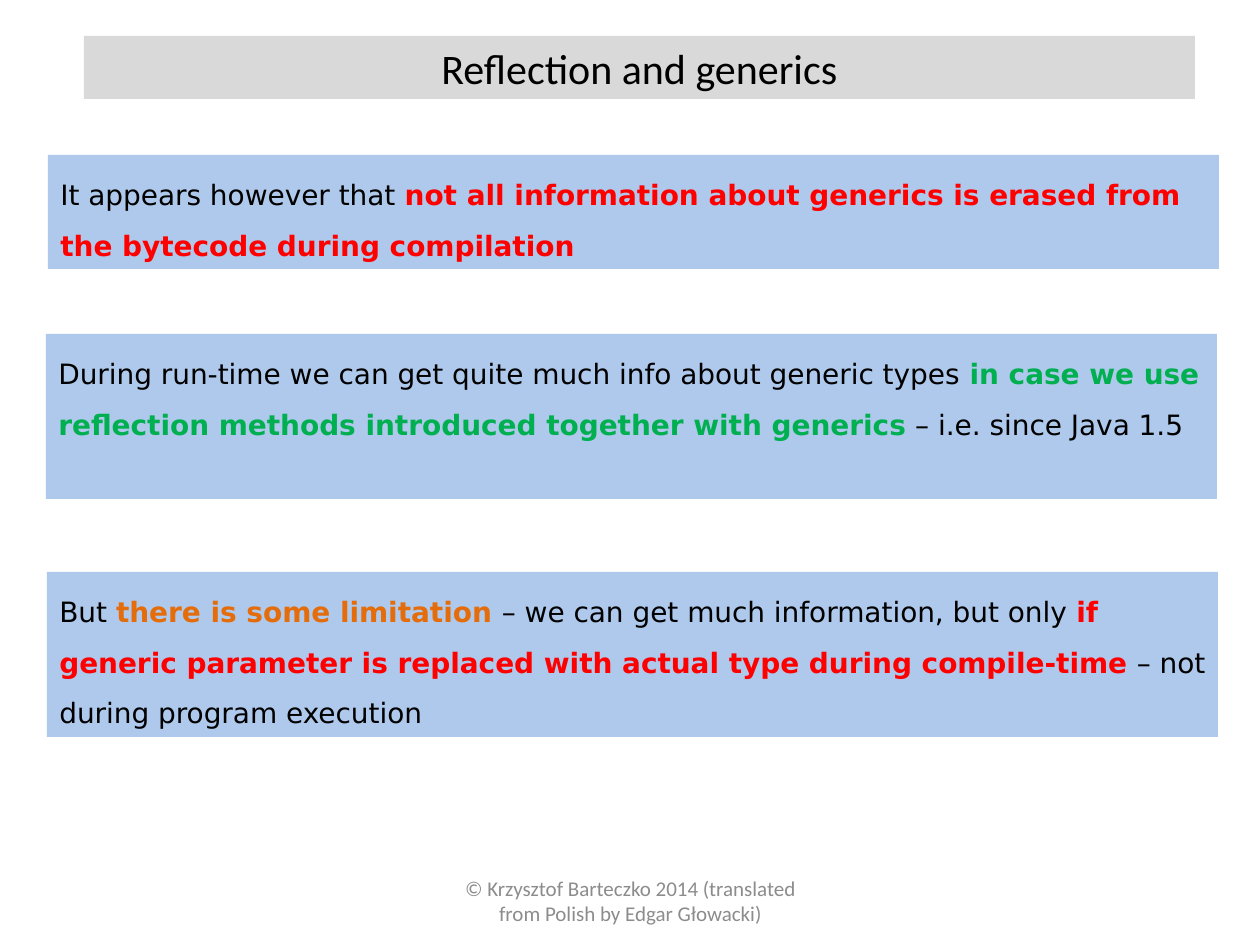
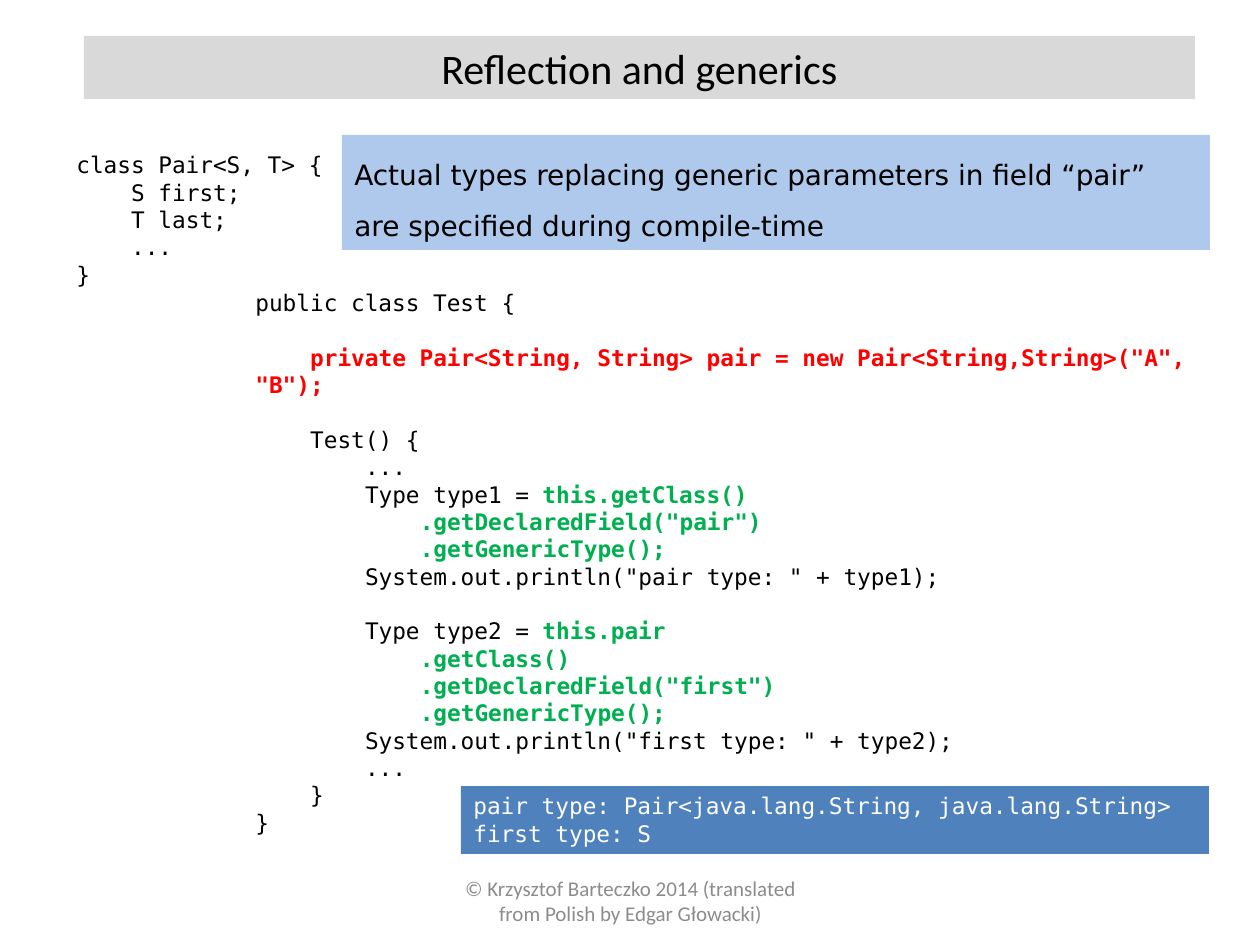
from lxml import etree
from pptx import Presentation
from pptx import util as u
from pptx.dml.color import RGBColor
from pptx.enum import shapes, text
from pptx.oxml.ns import qn

PX = 914400 / 126
HUES = {
    "ink": "000000", "white": "FFFFFF", "foot": "8C8C8C", "band": "D9D9D9",
    "note": "8EB4E3", "out": "4F81BD",
    "red": "FF0000", "green": "00B050", "orange": "E46C0A",
}
TITLE = "Reflection and generics"
FOOT = "© Krzysztof Barteczko 2014 (translated from Polish by Edgar Głowacki)"
STEP = 54.8
LINE = 15.6

POINTS = [
    ((48, 155, 1171, 114), [
        ("It appears however that ", "ink"),
        ("not all information about generics is erased from the bytecode "
         "during compilation", "red")]),
    ((46, 334, 1171, 165), [
        ("During run-time we can get quite much info about generic types ", "ink"),
        ("in case we use reflection methods introduced together with generics",
         "green"),
        (" – i.e. since Java 1.5", "ink")]),
    ((47, 572, 1171, 165), [
        ("But ", "ink"),
        ("there is some limitation ", "orange"),
        ("– we can get much information, but only ", "ink"),
        ("if generic parameter is replaced with actual type during compile-time",
         "red"),
        (" – not during program execution", "ink")]),
]
HINT = ((342, 135, 868, 115), [
    ("Actual types replacing generic parameters in field “pair” are specified "
     "during compile-time", "ink")])

PAIR = [
    (0, 0, [("class Pair<S, T> {", "ink")]),
    (1, 0, [("S first;", "ink")]),
    (1, 0, [("T last;", "ink")]),
    (1, 0, [("...", "ink")]),
    (0, 0, [("}", "ink")]),
]
TEST = [
    (0, 0, [("public class Test {", "ink")]),
    (1, 1, [('private Pair<String, String> pair = '
             'new Pair<String,String>("A", "B");', "red")]),
    (1, 1, [("Test() {", "ink")]),
    (2, 0, [("...", "ink")]),
    (2, 0, [("Type type1 = ", "ink"), ("this.getClass()", "green")]),
    (3, 0, [('.getDeclaredField("pair")', "green")]),
    (3, 0, [(".getGenericType();", "green")]),
    (2, 0, [('System.out.println("pair type: " + type1);', "ink")]),
    (2, 1, [("Type type2 = ", "ink"), ("this.pair", "green")]),
    (3, 0, [(".getClass()", "green")]),
    (3, 0, [('.getDeclaredField("first")', "green")]),
    (3, 0, [(".getGenericType();", "green")]),
    (2, 0, [('System.out.println("first type: " + type2);', "ink")]),
    (2, 0, [("...", "ink")]),
    (1, 0, [("}", "ink")]),
    (0, 0, [("}", "ink")]),
]
PRINT = [
    (0, 0, [("pair type: Pair<java.lang.String, java.lang.String>", "white")]),
    (0, 0, [("first type: S", "white")]),
]
BOLD = {"red", "green", "orange"}


def hue(name):
    return RGBColor.from_string(HUES[name])


def box(slide, area, fill=None, alpha=None):
    spot = [u.Emu(round(v * PX)) for v in area]
    if fill:
        shape = slide.shapes.add_shape(shapes.MSO_SHAPE.RECTANGLE, *spot)
        shape.shadow.inherit = False
        shape.line.fill.background()
        shape.fill.solid()
        shape.fill.fore_color.rgb = hue(fill)
        if alpha:
            tint = shape.fill._xPr.find(".//" + qn("a:srgbClr"))
            etree.SubElement(tint, qn("a:alpha"), val=str(alpha * 1000))
    else:
        shape = slide.shapes.add_textbox(*spot)
    frame = shape.text_frame
    frame.word_wrap = True
    frame.vertical_anchor = text.MSO_ANCHOR.TOP
    return frame


def write(para, runs, font, size, align=text.PP_ALIGN.LEFT):
    para.alignment = align
    for words, tone in runs:
        run = para.add_run()
        run.text = words
        run.font.name = font
        run.font.size = u.Pt(size)
        run.font.bold = tone in BOLD
        run.font.color.rgb = hue(tone)


def note(slide, area, runs):
    para = box(slide, area, "note", 71).paragraphs[0]
    para.line_spacing = 1.5
    write(para, runs, "DejaVu Sans", 16)


def code(slide, area, lines, fill=None):
    frame = box(slide, area, fill)
    for i, (depth, gap, runs) in enumerate(lines):
        para = frame.add_paragraph() if i else frame.paragraphs[0]
        para.space_before = u.Pt(gap * LINE)
        props = para._p.get_or_add_pPr()
        props.set("marL", "0")
        props.set("indent", str(round(depth * STEP * PX)))
        write(para, runs, "DejaVu Sans Mono", 13)


def page(deck):
    slide = deck.slides.add_slide(deck.slide_layouts[6])
    mid = text.PP_ALIGN.CENTER
    foot = box(slide, (431, 876, 399, 50))
    foot.vertical_anchor = text.MSO_ANCHOR.MIDDLE
    write(foot.paragraphs[0], [(FOOT, "foot")], "Calibri", 12, mid)
    head = box(slide, (84, 36, 1111, 63), "band")
    write(head.paragraphs[0], [(TITLE, "ink")], "Calibri", 24, mid)
    return slide


deck = Presentation()
deck.slide_width, deck.slide_height = u.Inches(10), u.Inches(7.5)

slide = page(deck)
for area, runs in POINTS:
    note(slide, area, runs)

slide = page(deck)
code(slide, (64, 145, 289, 150), PAIR)
code(slide, (243, 283, 963, 537), TEST)
code(slide, (461, 786, 748, 68), PRINT, "out")
note(slide, *HINT)

deck.save("out.pptx")
